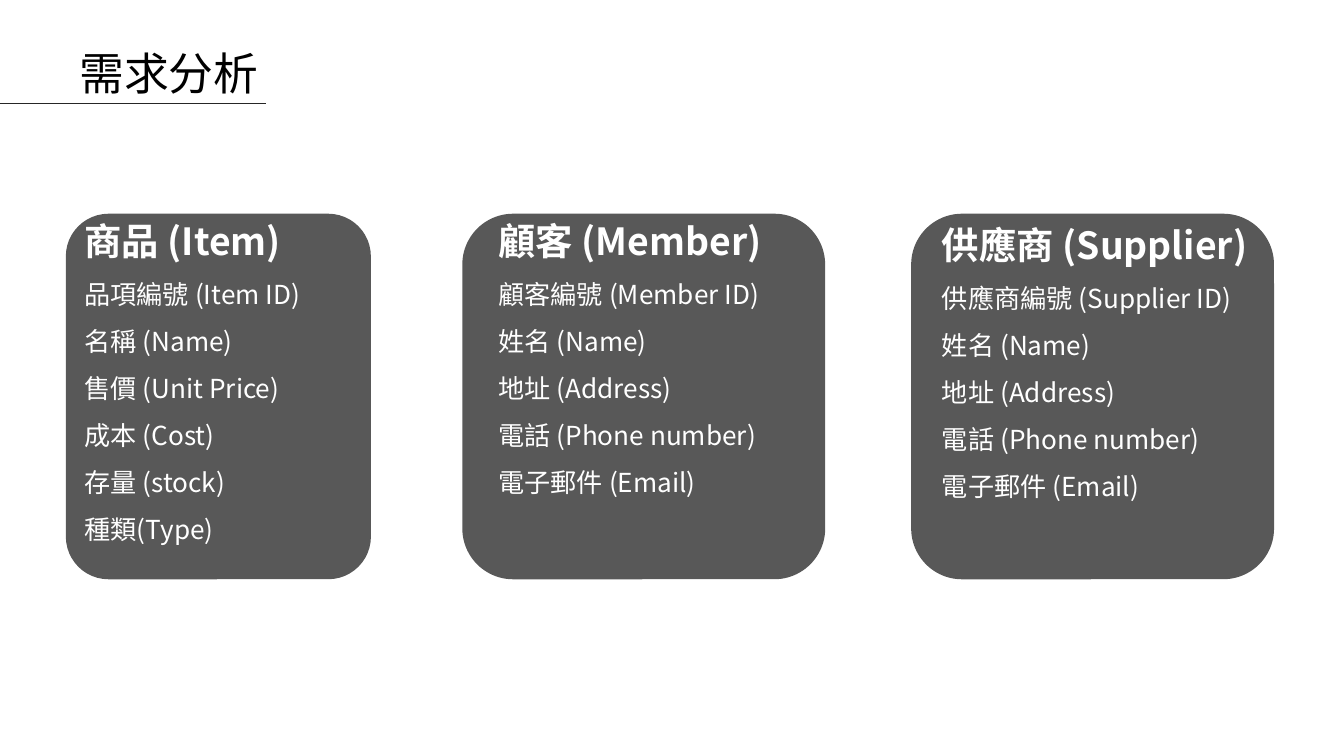
from dataclasses import dataclass

from lxml import etree
from pptx import Presentation
from pptx import util as u
from pptx.dml.color import RGBColor
from pptx.enum import shapes, text
from pptx.oxml import ns


@dataclass(frozen=True)
class Theme:
    font: str = "Noto Sans CJK SC"
    ink: str = "000000"
    card: str = "585858"
    light: str = "FFFFFF"
    rule: str = "262626"
    title: int = 24
    head: int = 20
    body: int = 14


THEME = Theme()
TOP, HIGH = 1.59, 2.72

# Card left and width, text box (left, top, width, height), lines
CARDS = [
    (0.49, 2.27, (0.53, 1.56, 2.23, 2.81),
     ["商品 (Item)", "品項編號 (Item ID)", "名稱 (Name)", "售價 (Unit Price)",
      "成本 (Cost)", "存量 (stock)", "種類(Type)"]),
    (3.44, 2.7, (3.61, 1.56, 2.53, 2.41),
     ["顧客 (Member)", "顧客編號 (Member ID)", "姓名 (Name)",
      "地址 (Address)", "電話 (Phone number)", "電子郵件 (Email)"]),
    (6.78, 2.7, (6.91, 1.59, 2.61, 2.5),
     ["供應商 (Supplier)", "供應商編號 (Supplier ID)", "姓名 (Name)",
      "地址 (Address)", "電話 (Phone number)", "電子郵件 (Email)"]),
]


def color(code):
    return RGBColor.from_string(code)


def add_run(para, words, size, code, bold=False):
    run = para.add_run()
    run.text = words
    font = run.font
    font.name, font.size, font.bold = THEME.font, u.Pt(size), bold
    font.color.rgb = color(code)
    # Chinese glyphs take the East Asian typeface
    east = etree.SubElement(run._r.get_or_add_rPr(), ns.qn("a:ea"))
    east.set("typeface", THEME.font)


def set_frame(frame, anchor):
    frame.word_wrap = True
    frame.auto_size = text.MSO_AUTO_SIZE.NONE
    frame.vertical_anchor = anchor
    frame.margin_left = frame.margin_right = u.Inches(0.1)
    frame.margin_top = frame.margin_bottom = u.Inches(0.1)


def add_title(slide, words):
    title = slide.shapes.title
    title.left, title.top = u.Inches(0.49), u.Inches(0.19)
    title.width, title.height = u.Inches(1.69), u.Inches(0.65)
    set_frame(title.text_frame, text.MSO_ANCHOR.BOTTOM)
    para = title.text_frame.paragraphs[0]
    para.alignment = text.PP_ALIGN.LEFT
    add_run(para, words, THEME.title, THEME.ink)


def add_rule(slide):
    rule = slide.shapes.add_connector(
        shapes.MSO_CONNECTOR.STRAIGHT,
        u.Inches(-0.23), u.Inches(0.77), u.Inches(1.98), u.Inches(0.77))
    rule.line.color.rgb = color(THEME.rule)
    rule.line.width = u.Pt(1)
    etree.SubElement(rule._element.spPr, ns.qn("a:effectLst"))


def add_card(slide, left, width):
    card = slide.shapes.add_shape(
        shapes.MSO_SHAPE.ROUNDED_RECTANGLE,
        u.Inches(left), u.Inches(TOP), u.Inches(width), u.Inches(HIGH))
    card.adjustments[0] = 0.14
    card.shadow.inherit = False
    card.fill.solid()
    card.fill.fore_color.rgb = color(THEME.card)
    card.line.fill.background()


def add_list(slide, box, lines):
    frame = slide.shapes.add_textbox(*map(u.Inches, box)).text_frame
    set_frame(frame, text.MSO_ANCHOR.TOP)
    for i, words in enumerate(lines):
        head = i == 0
        para = frame.paragraphs[0] if head else frame.add_paragraph()
        para.line_spacing = 0.9
        para.space_before = u.Pt(10)
        size = THEME.head if head else THEME.body
        add_run(para, words, size, THEME.light, head)


def main():
    deck = Presentation()
    # Widescreen, 16 to 9
    deck.slide_width = u.Inches(10)
    deck.slide_height = u.Inches(10 * 9 / 16)
    slide = deck.slides.add_slide(deck.slide_layouts[5])

    # Entity cards
    for left, width, _, _ in CARDS:
        add_card(slide, left, width)

    # Heading
    add_title(slide, "需求分析")

    # Fields of each entity
    for _, _, box, lines in CARDS:
        add_list(slide, box, lines)

    # Line under the heading
    add_rule(slide)

    deck.save("out.pptx")


if __name__ == "__main__":
    main()
